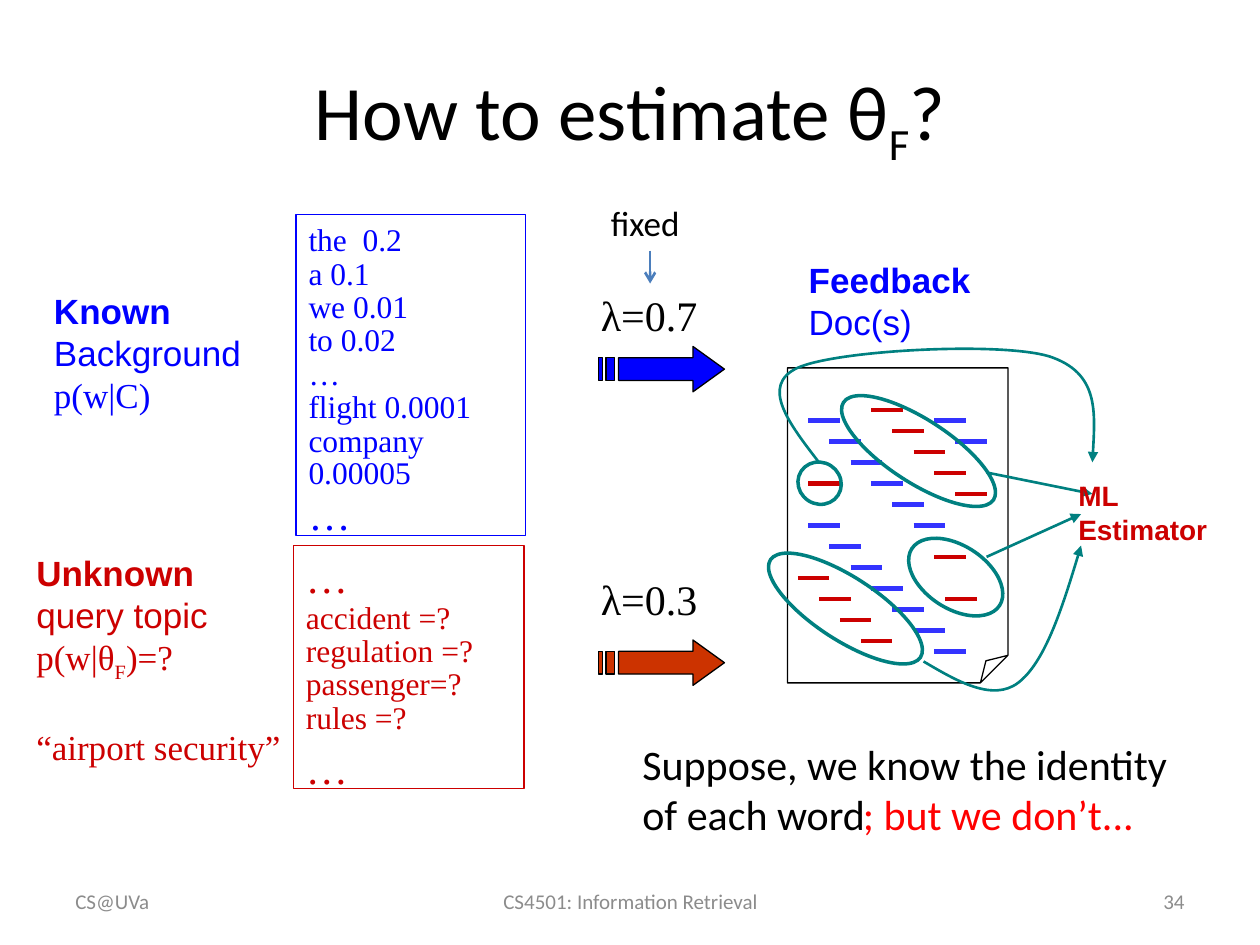
from dataclasses import dataclass

from lxml import etree
from pptx import Presentation
from pptx.dml.color import RGBColor
from pptx.enum.shapes import MSO_CONNECTOR, MSO_SHAPE
from pptx.enum.text import MSO_ANCHOR, MSO_AUTO_SIZE, PP_ALIGN
from pptx.oxml.ns import qn
from pptx.util import Inches, Pt

STRAIGHT = MSO_CONNECTOR.STRAIGHT
RECTANGLE, ELLIPSE, PAGE = MSO_SHAPE.RECTANGLE, MSO_SHAPE.OVAL, MSO_SHAPE.FOLDED_CORNER
TOP, MIDDLE = MSO_ANCHOR.TOP, MSO_ANCHOR.MIDDLE
LEFT, CENTER, RIGHT = PP_ALIGN.LEFT, PP_ALIGN.CENTER, PP_ALIGN.RIGHT
FIT_SHAPE = MSO_AUTO_SIZE.SHAPE_TO_FIT_TEXT


@dataclass(frozen=True)
class Theme:
    sans: str = "Arial"
    serif: str = "Times New Roman"
    body: str = "Calibri"
    black: str = "000000"
    blue: str = "0000FF"
    word_blue: str = "3333FF"
    red: str = "CC0000"
    arrow_red: str = "CC3300"
    bright_red: str = "FF0000"
    teal: str = "008080"
    steel: str = "4B7EBC"
    gray: str = "8C8C8C"
    title: int = 44
    large: int = 24
    label: int = 20
    words: int = 18
    estimator: int = 16
    footer: int = 12


THEME = Theme()


@dataclass
class Line:
    """One paragraph; text between tildes is subscript."""
    text: str
    font: str = THEME.body
    size: int = THEME.large
    bold: bool = False
    spacing: float = 1.0
    before: float = 0


def write_text(frame, lines, color, align=LEFT, anchor=TOP, wrap=True):
    frame.word_wrap = wrap
    frame.vertical_anchor = anchor
    if not wrap:
        frame.auto_size = FIT_SHAPE
    for index, line in enumerate(lines):
        paragraph = frame.add_paragraph() if index else frame.paragraphs[0]
        paragraph.alignment = align
        paragraph.line_spacing = line.spacing
        paragraph.space_before = Pt(line.before)
        font = paragraph.font
        font.name, font.size, font.bold = line.font, Pt(line.size), line.bold
        font.color.rgb = RGBColor.from_string(color)
        for part, text in enumerate(line.text.split("~")):
            if text:
                run = paragraph.add_run()
                run.text = text
                if part % 2:
                    run.font._element.set("baseline", "-25000")


def add_text(slide, box, lines, color, **options):
    shape = slide.shapes.add_textbox(*map(Inches, box))
    write_text(shape.text_frame, lines, color, **options)


def style_shape(shape, line_color, width, fill=None):
    shape.shadow.inherit = False
    if fill:
        shape.fill.solid()
        shape.fill.fore_color.rgb = RGBColor.from_string(fill)
    else:
        shape.fill.background()
    shape.line.color.rgb = RGBColor.from_string(line_color)
    shape.line.width = Pt(width)


def add_outline(slide, kind, box, color, width, rotation=0):
    shape = slide.shapes.add_shape(kind, *map(Inches, box))
    style_shape(shape, color, width)
    shape.rotation = rotation
    return shape


def add_arrowhead(shape, kind):
    etree.SubElement(shape.line._get_or_add_ln(), qn("a:tailEnd"), type=kind)


def add_line(slide, start, end, color, width, head=None):
    line = slide.shapes.add_connector(STRAIGHT, *map(Inches, (*start, *end)))
    line.line.color.rgb = RGBColor.from_string(color)
    line.line.width = Pt(width)
    if head:
        add_arrowhead(line, head)
    etree.SubElement(line._element.spPr, qn("a:effectLst"))


def to_points(points, left=0, top=0):
    return [(Inches(left + x), Inches(top + y)) for x, y in points]


def add_curve(slide, points, color, width):
    """Cubic curve with an arrowhead: a start, then three points a segment."""
    start, *others = to_points(points)
    builder = slide.shapes.build_freeform(*start)
    builder.add_line_segments(others, close=False)
    shape = builder.convert_to_shape()
    segments = list(shape._element.iter(qn("a:lnTo")))
    for index in range(0, len(segments), 3):
        first, *rest = segments[index:index + 3]
        first.tag = qn("a:cubicBezTo")
        for segment in rest:
            first.append(segment[0])
            segment.getparent().remove(segment)
    style_shape(shape, color, width)
    add_arrowhead(shape, "triangle")


def add_striped_arrow(slide, left, top, fill):
    head = [(0.75, 0), (0.75, 0.09), (0.16, 0.09), (0.16, 0.27),
            (0.75, 0.27), (0.75, 0.36), (1, 0.18)]
    stripes = [[(a, 0.09), (a, 0.27), (b, 0.27), (b, 0.09)]
               for a, b in ((0.06, 0.13), (0, 0.03))]
    start, *others = to_points(head, left, top)
    builder = slide.shapes.build_freeform(*start)
    builder.add_line_segments(others)
    for stripe in stripes:
        start, *others = to_points(stripe, left, top)
        builder.move_to(*start)
        builder.add_line_segments(others)
    style_shape(builder.convert_to_shape(), THEME.black, 0.75, fill)


def add_title(slide, box):
    add_text(slide, box, [Line("How to estimate θ~F~?", size=THEME.title)],
             THEME.black, align=CENTER, anchor=MIDDLE)


def add_model(slide, box, label_box, label, words, color):
    """Word list in a frame with its label on the left."""
    frame = add_outline(slide, RECTANGLE, box, color, 0.75)
    write_text(frame.text_frame, words, color)
    add_text(slide, label_box, label, color, wrap=False)


def add_weight(slide, box, arrow_top, text, color):
    """Mixing weight above its arrow."""
    add_text(slide, box, [Line(text, THEME.serif)], THEME.black, wrap=False)
    add_striped_arrow(slide, box[0] + 0.08, arrow_top, color)


def add_fixed_note(slide, box):
    left, top, _, height = box
    add_text(slide, box, [Line("fixed", size=THEME.label)], THEME.black)
    x, y = left + 0.41, top + height
    add_line(slide, (x, y), (x, y + 0.26), THEME.steel, 1.5, "arrow")


def add_document(slide, box):
    """Page of word strokes laid out on a grid of sixths of an inch."""
    left, top, _, _ = box
    page = add_outline(slide, PAGE, box, THEME.black, 0.75)
    guides = page._element.spPr.find(".//" + qn("a:avLst"))
    etree.SubElement(guides, qn("a:gd"), name="adj", fmla="val 12500")
    step = 1 / 6
    # Each diagonal: column, row, number of words
    diagonals = {
        THEME.word_blue: [(1, 2.5, 6), (7, 2.5, 2), (1, 7.5, 6), (7, 13.5, 1)],
        THEME.red: [(4, 2, 5), (0.5, 10, 4), (7, 9, 1), (7.5, 11, 1), (1, 5.5, 1)],
    }
    for color, runs in diagonals.items():
        for column, row, count in runs:
            for index in range(count):
                x, y = left + (column + index) * step, top + (row + index) * step
                add_line(slide, (x, y), (x + 0.25, y), color, 2.5)
    add_text(slide, (left + 0.07, top - 0.92, 1.5, 0.77),
             [Line("Feedback", THEME.sans, THEME.label, True),
              Line("Doc(s)", THEME.sans, THEME.label)], THEME.blue, wrap=False)


def add_estimator(slide, box):
    """Topic word groups, each led to the estimator label."""
    for group in ((6.58, 3.33, 1.42, 0.5), (6, 4.58, 1.42, 0.5),
                  (7.17, 4.33, 0.83, 0.5), (6.33, 3.67, 0.35, 0.33)):
        add_outline(slide, ELLIPSE, group, THEME.teal, 2, 33)
    for start, end in (((7.83, 3.75), (8.67, 3.92)), ((7.83, 4.42), (8.58, 4.08))):
        add_line(slide, start, end, THEME.teal, 1.5, "triangle")
    for curve in (
        [(7.33, 5.25), (7.6, 5.41), (7.88, 5.57), (8.08, 5.42),
         (8.29, 5.26), (8.44, 4.8), (8.58, 4.33)],
        [(6.5, 3.67), (6.26, 3.36), (6.03, 3.06), (6.33, 2.92), (6.64, 2.78),
         (7.94, 2.71), (8.33, 2.83), (8.72, 2.96), (8.69, 3.31), (8.67, 3.67)],
    ):
        add_curve(slide, curve, THEME.teal, 1.5)
    add_text(slide, box, [Line(text, THEME.sans, THEME.estimator, True)
                          for text in ("ML", "Estimator")], THEME.red, wrap=False)


def add_conclusion(slide, box):
    left, top, _, _ = box
    add_text(slide, box, [Line("Suppose, we know the identity of each word")], THEME.black)
    add_text(slide, (left + 1.75, top + 0.4, 2.37, 0.5), [Line("; but we don’t...")],
             THEME.bright_red, wrap=False)


def add_footer(slide, top, height):
    for left, width, text, align in ((0.5, 2.33, "CS@UVa", LEFT),
                                     (3.42, 3.17, "CS4501: Information Retrieval", CENTER),
                                     (7.17, 2.33, "34", RIGHT)):
        add_text(slide, (left, top, width, height), [Line(text, size=THEME.footer)],
                 THEME.gray, align=align, anchor=MIDDLE)


def word_lines(*texts):
    return [Line(text, THEME.serif, THEME.words, spacing=0.85, before=0.7) for text in texts]


def main():
    presentation = Presentation()
    presentation.slide_width, presentation.slide_height = Inches(10), Inches(7.5)
    slide = presentation.slides.add_slide(presentation.slide_layouts[6])
    serif, sans, size = THEME.serif, THEME.sans, THEME.label
    add_title(slide, (0.5, 0.3, 9, 1.25))
    add_model(slide, (2.35, 1.7, 1.82, 2.55), (0.33, 2.25, 1.75, 1.1),
              [Line("Known", sans, size, True), Line("Background", sans, size),
               Line("p(w|C)", serif, size)],
              [Line("the  0.2", serif, THEME.words, before=3),
               *word_lines("a 0.1", "we 0.01", "to 0.02", "…", "flight 0.0001", "company 0.00005"),
               Line("…", serif, spacing=0.85, before=3)], THEME.blue)
    add_model(slide, (2.33, 4.33, 1.83, 1.93), (0.19, 4.33, 2.23, 1.78),
              [Line("Unknown", sans, size, True), Line("query topic", sans, size),
               Line("p(w|θ~F~)=?", serif, size),
               Line("“airport security”", serif, size, before=24)],
              [Line("…", serif, before=4),
               *word_lines("accident =?", "regulation =?", "passenger=?", "rules =?"),
               Line("…", serif, before=4)], THEME.red)
    add_fixed_note(slide, (4.75, 1.55, 1.05, 0.44))
    add_weight(slide, (4.67, 2.25, 0.99, 0.5), 2.75, "λ=0.7", THEME.blue)
    add_weight(slide, (4.67, 4.5, 0.99, 0.5), 5.08, "λ=0.3", THEME.arrow_red)
    add_document(slide, (6.25, 2.92, 1.75, 2.5))
    add_estimator(slide, (8.46, 3.75, 1.23, 0.64))
    add_conclusion(slide, (5, 5.81, 4.5, 0.91))
    add_footer(slide, 6.95, 0.4)
    presentation.save("out.pptx")


if __name__ == "__main__":
    main()
